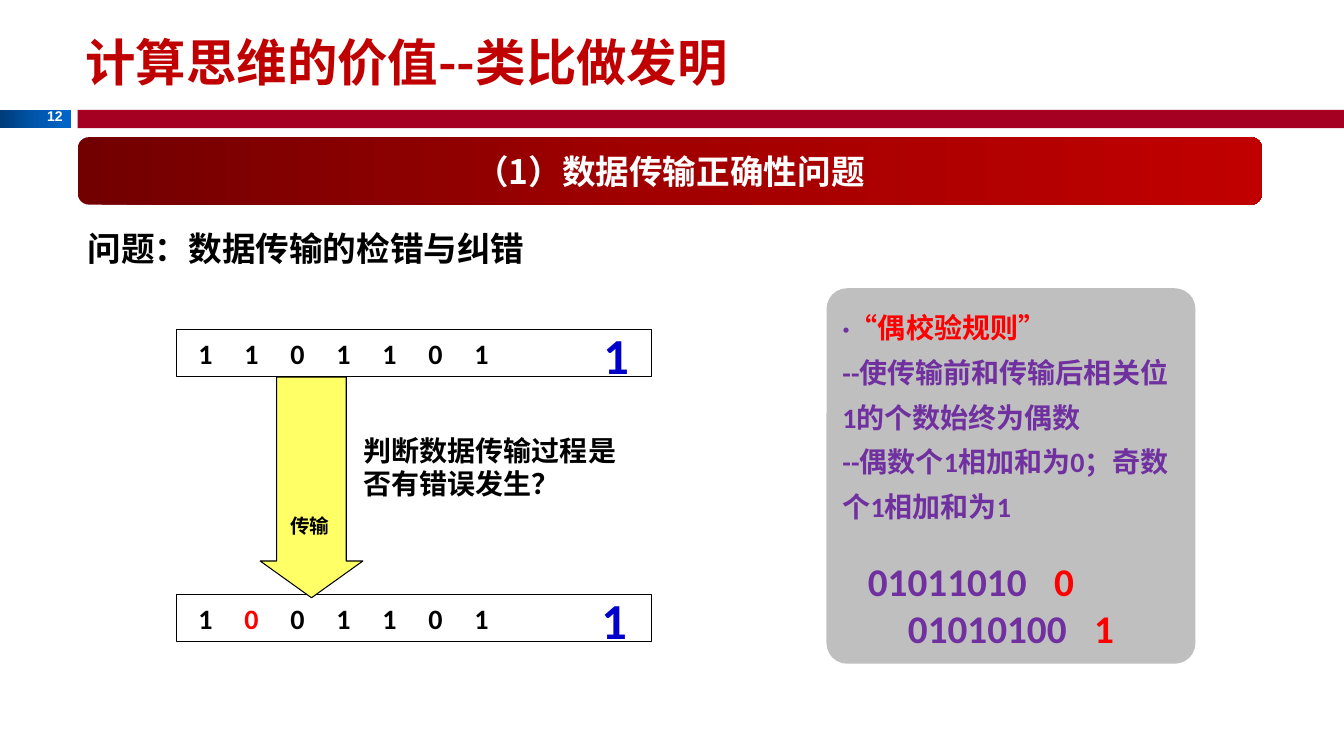
import copy

import pptx
import pptx.dml.color
import pptx.enum.shapes
import pptx.enum.text
import pptx.oxml
import pptx.oxml.ns
import pptx.util

Pt = pptx.util.Pt
SHAPE = pptx.enum.shapes.MSO_SHAPE
ALIGN = pptx.enum.text.PP_ALIGN
ANCHOR = pptx.enum.text.MSO_ANCHOR
qn = pptx.oxml.ns.qn

CJK = "Noto Sans CJK SC"
BLACK, WHITE, RED, BLUE, PURPLE = "000000", "FFFFFF", "FF0000", "0000CC", "7030A0"


def rgb(value):
    return pptx.dml.color.RGBColor.from_string(value)


class Deck:
    """Style and drawing methods for the current slide; lengths in points."""

    font = "Calibri"
    line_width = 0.75

    def __init__(self, width, height):
        self.prs = pptx.Presentation()
        self.prs.slide_width, self.prs.slide_height = Pt(width), Pt(height)
        self.s = self.prs.slides.add_slide(self.prs.slide_layouts[6])

    def shape(self, kind, box, fill=None, line=None, adj=()):
        sp = self.s.shapes.add_shape(kind, *map(Pt, box))
        sp.shadow.inherit = False
        for i, value in enumerate(adj):
            sp.adjustments[i] = value
        if isinstance(fill, tuple):
            self.gradient(sp, fill)
        elif fill:
            sp.fill.solid()
            sp.fill.fore_color.rgb = rgb(fill)
        else:
            sp.fill.background()
        if line:
            sp.line.color.rgb = rgb(line)
            sp.line.width = Pt(self.line_width)
        else:
            sp.line.fill.background()
        return sp

    def gradient(self, sp, colors):
        """Three evenly spaced stops from left to right."""
        sp.fill.gradient()
        sp.fill.gradient_angle = 0
        first = next(sp._element.spPr.iter(qn("a:gs")))
        first.addnext(copy.deepcopy(first))
        for i, (stop, color) in enumerate(zip(sp.fill.gradient_stops, colors)):
            stop.position = i / 2
            stop.color.rgb = rgb(color)

    def text(self, box, *runs, wrap=True, anchor=ANCHOR.TOP, **style):
        tb = self.s.shapes.add_textbox(*map(Pt, box))
        self.frame(tb, wrap, anchor)
        return self.para(tb, *runs, **style)

    def frame(self, sp, wrap=True, anchor=ANCHOR.TOP):
        sp.text_frame.word_wrap = wrap
        sp.text_frame.vertical_anchor = anchor

    def para(self, sp, *runs, size=20, font=None, align=ALIGN.LEFT,
             spacing=None, before=None, tabs=()):
        """Fill the empty first paragraph or append one; runs are (text, colour)."""
        tf = sp.text_frame
        p = tf.paragraphs[0] if not tf.paragraphs[0].runs else tf.add_paragraph()
        p.alignment = align
        if spacing:
            p.line_spacing = spacing
        if before:
            p.space_before = Pt(before)
        if tabs:
            tab_list = pptx.oxml.parse_xml(
                '<a:tabLst xmlns:a="http://schemas.openxmlformats.org/drawingml/2006/main"/>')
            for pos in tabs:
                tab = tab_list.makeelement(qn("a:tab"), {"pos": str(Pt(pos)), "algn": "l"})
                tab_list.append(tab)
            p._p.get_or_add_pPr().append(tab_list)
        for content, color in runs:
            r = p.add_run()
            r.text = content
            r.font.name = font or self.font
            r.font.size = Pt(size)
            r.font.bold = True
            r.font.color.rgb = rgb(color)
            ea = r._r.makeelement(qn("a:ea"), {"typeface": CJK})
            r.font._element.find(qn("a:latin")).addnext(ea)
        return p


def main():
    d = Deck(960, 540)

    # Header band and slide number
    d.shape(SHAPE.RECTANGLE, (0, 78.5, 51, 13), ("003C79", "0056AC", "0066CC"))
    d.shape(SHAPE.RECTANGLE, (55.5, 78.5, 904.5, 13), "A50021")
    d.text((25.2, 73.4, 26.6, 19.4), ("12", WHITE), wrap=False,
           size=10, font="Arial", align=ALIGN.RIGHT)

    # Title, section banner and question
    d.text((54, 13.7, 849, 59.8), ("计算思维的价值--类比做发明", "C00000"),
           anchor=ANCHOR.MIDDLE, size=36, font=CJK, align=ALIGN.JUSTIFY)
    banner = d.shape(SHAPE.ROUNDED_RECTANGLE, (55.5, 98, 846, 48.2),
                     ("720000", "A20000", "C00000"))
    d.frame(banner, anchor=ANCHOR.MIDDLE)
    d.para(banner, ("（1）数据传输正确性问题", WHITE), size=24, font=CJK, align=ALIGN.CENTER)
    d.text((55.5, 156.2, 480, 36.7), ("问题：数据传输的检错与纠错", BLACK),
           size=24, font=CJK, align=ALIGN.JUSTIFY, spacing=1.1)

    # Sent and received bits, each with its check bit
    pitch = 32.85
    for top, bits, wrong, check_left in ((235.4, "1101101", None, 424),
                                         (424.8, "1001101", 1, 422.6)):
        d.shape(SHAPE.RECTANGLE, (126, top, 339.1, 33.8), WHITE, BLACK)
        runs = [("\t" * (i > 0) + bit, RED if i == wrong else BLACK)
                for i, bit in enumerate(bits)]
        d.text((134.6, top + 1.5, 250, 31.7), *runs,
               tabs=[pitch * i for i in range(1, len(bits))])
        d.text((check_left, top - 7.5, 33.1, 51.1), ("1", BLUE), wrap=False, size=36)

    # Transmission arrow
    d.shape(SHAPE.DOWN_ARROW, (185.8, 269.3, 73.4, 157.7), "FFFF66", BLACK, (0.677, 0.358))
    d.text((200.2, 363.6, 43.2, 24.5), ("传输", BLACK), wrap=False, size=14)
    d.text((252.7, 306, 213.1, 55.4), ("判断数据传输过程是否有错误发生？", BLACK))

    # Parity rule panel
    panel = d.shape(SHAPE.ROUNDED_RECTANGLE, (590.4, 205.9, 263.5, 268.2), "BFBFBF", adj=(0.056,))
    d.frame(panel)
    for runs in ([("·", PURPLE), ("“偶校验规则”", RED)],
                 [("--使传输前和传输后相关位1的个数始终为偶数", PURPLE)],
                 [("--偶数个1相加和为0；奇数个1相加和为1", PURPLE)]):
        d.para(panel, *runs, spacing=Pt(32))
    for indent, before, bits, check in ((18.2, 24, "01011010", "0"),
                                        (46.8, 0, "01010100", "1")):
        d.para(panel, ("\t" + bits, PURPLE), ("\t" + check, RED), size=28,
               before=before, tabs=(indent, indent + 133))

    d.prs.save("out.pptx")


if __name__ == "__main__":
    main()
